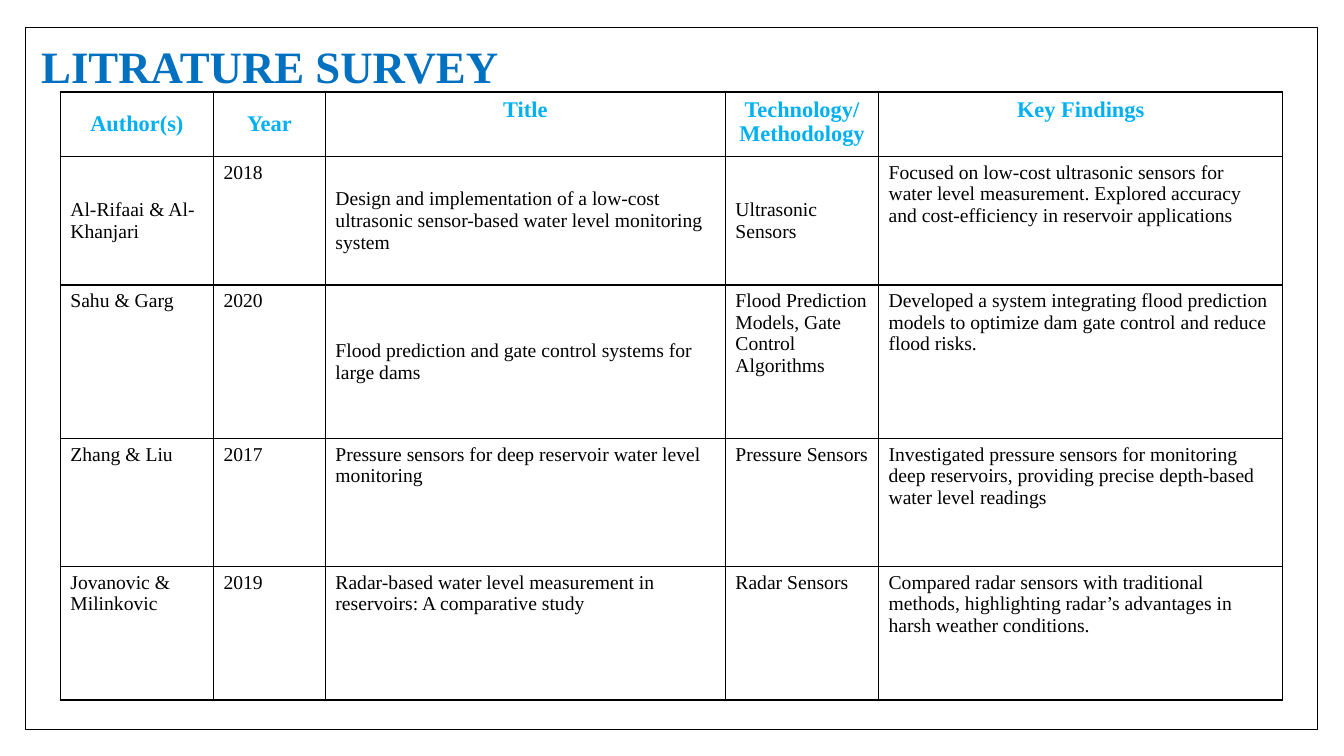
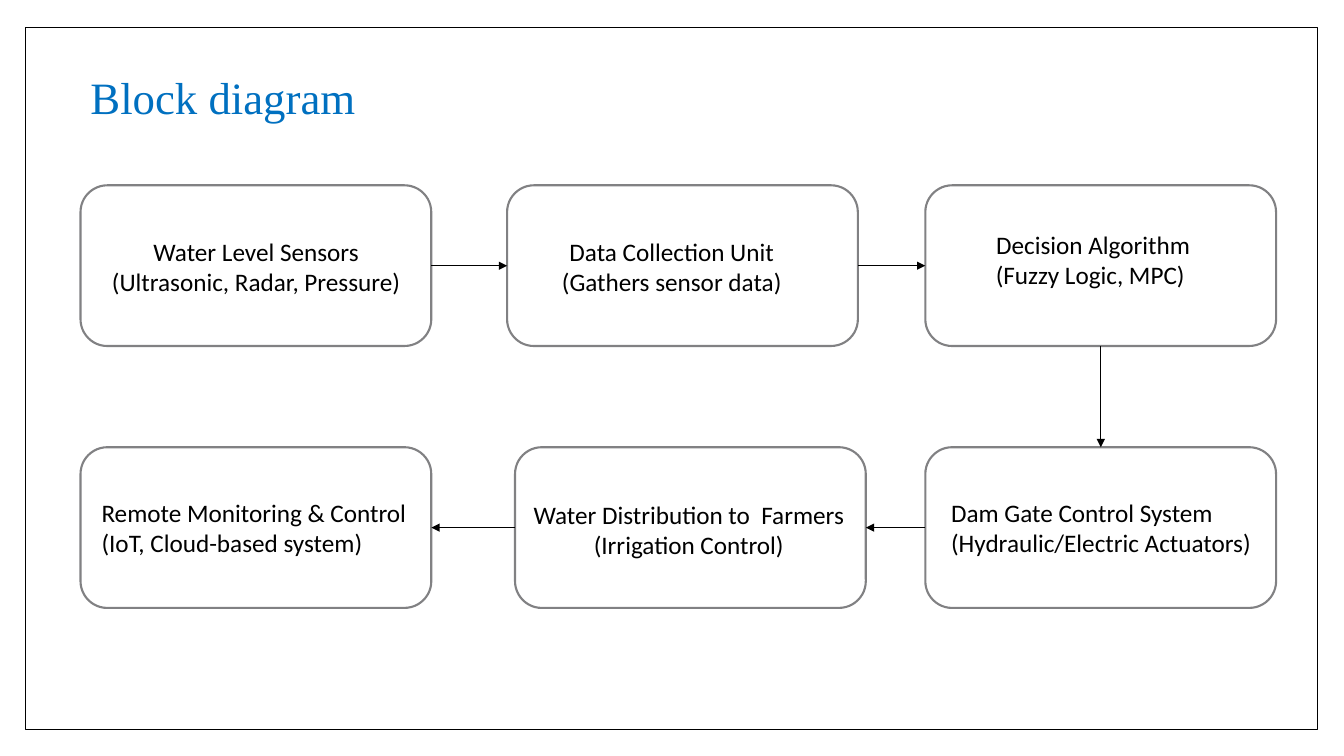
"""Build a literature survey table and a block diagram slide on a shared framed layout."""
from lxml.etree import SubElement
from pptx import Presentation
from pptx.dml.color import RGBColor
from pptx.enum.shapes import MSO_CONNECTOR, MSO_SHAPE
from pptx.enum.text import MSO_ANCHOR, MSO_AUTO_SIZE, PP_ALIGN
from pptx.oxml.ns import qn
from pptx.util import Cm, Pt

COLORS = {
    "white": "FFFFFF",
    "black": "000000",
    "title": "0070C0",
    "header": "00B0F0",
    "box_line": "818183",
}
FORMATS = {
    "title": {"name": "Times New Roman", "size": Pt(32)},
    "header": {"name": "Times New Roman", "size": Pt(16), "bold": True},
    "body": {"name": "Times New Roman", "size": Pt(14), "bold": False},
    "label": {"name": "Calibri", "size": Pt(18)},
}
LEFT, CENTER = PP_ALIGN.LEFT, PP_ALIGN.CENTER


def write(text_frame, text, style, color, alignment=LEFT, bold=None):
    text_frame.word_wrap = True
    text_frame.text = text
    for paragraph in text_frame.paragraphs:
        paragraph.alignment = alignment
        font = paragraph.runs[0].font
        for name, value in FORMATS[style].items():
            setattr(font, name, value)
        if bold is not None:
            font.bold = bold
        font.color.rgb = RGBColor.from_string(COLORS[color])


def add_outline(slide, preset, position, color, width):
    shape = slide.shapes.add_shape(preset, *(Cm(length) for length in position))
    shape.shadow.inherit = False
    shape.fill.solid()
    shape.fill.fore_color.rgb = RGBColor.from_string(COLORS["white"])
    shape.line.color.rgb = RGBColor.from_string(COLORS[color])
    shape.line.width = Pt(width)
    return shape


presentation = Presentation()
presentation.slide_width = Cm(33.87)
presentation.slide_height = Cm(19.05)
layout = presentation.slide_layouts[6]
survey_slide = presentation.slides.add_slide(layout)
diagram_slide = presentation.slides.add_slide(layout)

frame = add_outline(survey_slide, MSO_SHAPE.RECTANGLE, (0.64, 0.69, 32.56, 17.7), "black", 1)
layout.shapes.element.append(frame.element)

TITLES = [
    (survey_slide, "LITRATURE SURVEY", 0.79, 0.86, 15, True),
    (diagram_slide, "Block diagram", 2.03, 1.63, 8.05, False),
]
for slide, text, left, top, width, bold in TITLES:
    title = slide.shapes.add_textbox(Cm(left), Cm(top), Cm(width), Cm(1.63))
    write(title.text_frame, text, "title", "title", bold=bold)
    title.text_frame.auto_size = MSO_AUTO_SIZE.SHAPE_TO_FIT_TEXT

SURVEY = [
    ("Author(s)", "Year", "Title", "Technology/Methodology", "Key Findings"),
    (
        "Al-Rifaai & Al-Khanjari",
        "2018",
        "Design and implementation of a low-cost ultrasonic sensor-based water level monitoring system",
        "Ultrasonic Sensors",
        "Focused on low-cost ultrasonic sensors for water level measurement. "
        "Explored accuracy and cost-efficiency in reservoir applications",
    ),
    (
        "Sahu & Garg",
        "2020",
        "Flood prediction and gate control systems for large dams",
        "Flood Prediction Models, Gate Control Algorithms",
        "Developed a system integrating flood prediction models to optimize "
        "dam gate control and reduce flood risks.",
    ),
    (
        "Zhang & Liu",
        "2017",
        "Pressure sensors for deep reservoir water level monitoring",
        "Pressure Sensors",
        "Investigated pressure sensors for monitoring deep reservoirs, "
        "providing precise depth-based water level readings",
    ),
    (
        "Jovanovic & Milinkovic",
        "2019",
        "Radar-based water level measurement in reservoirs: A comparative study",
        "Radar Sensors",
        "Compared radar sensors with traditional methods, highlighting "
        "radar’s advantages in harsh weather conditions.",
    ),
]
COLUMN_WIDTHS = [3.86, 2.82, 10.08, 3.86, 10.19]
ROW_HEIGHTS = [1.63, 3.23, 3.87, 3.23, 3.36]
MIDDLE_CELLS = {(0, 0), (0, 1), (1, 0), (1, 2), (1, 3), (2, 2)}

table = survey_slide.shapes.add_table(
    len(ROW_HEIGHTS), len(COLUMN_WIDTHS), Cm(1.52), Cm(2.32),
    Cm(sum(COLUMN_WIDTHS)), Cm(sum(ROW_HEIGHTS)),
).table
table.first_row = table.horz_banding = False
for column, width in zip(table.columns, COLUMN_WIDTHS):
    column.width = Cm(width)
for row, height in zip(table.rows, ROW_HEIGHTS):
    row.height = Cm(height)

for row_index, texts in enumerate(SURVEY):
    for column_index, text in enumerate(texts):
        cell = table.cell(row_index, column_index)
        if row_index == 0:
            write(cell.text_frame, text, "header", "header", CENTER)
        else:
            write(cell.text_frame, text, "body", "black")
        if (row_index, column_index) in MIDDLE_CELLS:
            cell.vertical_anchor = MSO_ANCHOR.MIDDLE
        properties = cell._tc.get_or_add_tcPr()
        for side in ("a:lnL", "a:lnR", "a:lnT", "a:lnB"):
            border = SubElement(properties, qn(side), w=str(Pt(1)))
            border_fill = SubElement(border, qn("a:solidFill"))
            SubElement(border_fill, qn("a:srgbClr"), val=COLORS["black"])
        cell.fill.solid()
        cell.fill.fore_color.rgb = RGBColor.from_string(COLORS["white"])

BOX_WIDTH, BOX_HEIGHT, LABEL_HEIGHT = 8.84, 4.05, 1.8
TOP_ROW, BOTTOM_ROW = 4.67, 11.27
BLOCKS = [
    ((2.03, TOP_ROW), (2.39, 5.82, 8.13), CENTER,
     "Water Level Sensors (Ultrasonic, Radar, Pressure)"),
    ((12.78, TOP_ROW), (13.77, 5.82, 6.32), CENTER,
     "Data Collection Unit (Gathers sensor data)"),
    ((23.32, TOP_ROW), (24.54, 5.66, 6.02), CENTER,
     "Decision Algorithm\n(Fuzzy Logic, MPC) "),
    ((23.32, BOTTOM_ROW), (23.72, 12.4, 9.12), LEFT,
     "Dam Gate Control System\n(Hydraulic/Electric Actuators)"),
    ((12.98, BOTTOM_ROW), (13.08, 12.45, 8.56), CENTER,
     "Water Distribution to  Farmers (Irrigation Control)"),
    ((2.03, BOTTOM_ROW), (2.31, 12.4, 8.46), LEFT,
     "Remote Monitoring & Control (IoT, Cloud-based system)"),
]
boxes = []
for corner, (left, top, width), alignment, text in BLOCKS:
    position = (*corner, BOX_WIDTH, BOX_HEIGHT)
    boxes.append(add_outline(diagram_slide, MSO_SHAPE.ROUNDED_RECTANGLE, position, "box_line", 1.5))
    label = diagram_slide.shapes.add_textbox(Cm(left), Cm(top), Cm(width), Cm(LABEL_HEIGHT))
    write(label.text_frame, text, "label", "black", alignment)
    label.text_frame.auto_size = MSO_AUTO_SIZE.SHAPE_TO_FIT_TEXT

TOP_SITE, LEFT_SITE, BOTTOM_SITE, RIGHT_SITE = range(4)
ARROW_SITES = [
    (RIGHT_SITE, LEFT_SITE),
    (RIGHT_SITE, LEFT_SITE),
    (BOTTOM_SITE, TOP_SITE),
    (LEFT_SITE, RIGHT_SITE),
    (LEFT_SITE, RIGHT_SITE),
]
for start, end, (start_site, end_site) in zip(boxes, boxes[1:], ARROW_SITES):
    arrow = diagram_slide.shapes.add_connector(MSO_CONNECTOR.STRAIGHT, 0, 0, 0, 0)
    arrow.begin_connect(start, start_site)
    arrow.end_connect(end, end_site)
    arrow.line.color.rgb = RGBColor.from_string(COLORS["black"])
    arrow.line.width = Pt(0.79)
    SubElement(arrow.line._get_or_add_ln(), qn("a:tailEnd"), type="triangle")
    SubElement(arrow.element.spPr, qn("a:effectLst"))

presentation.save("out.pptx")
